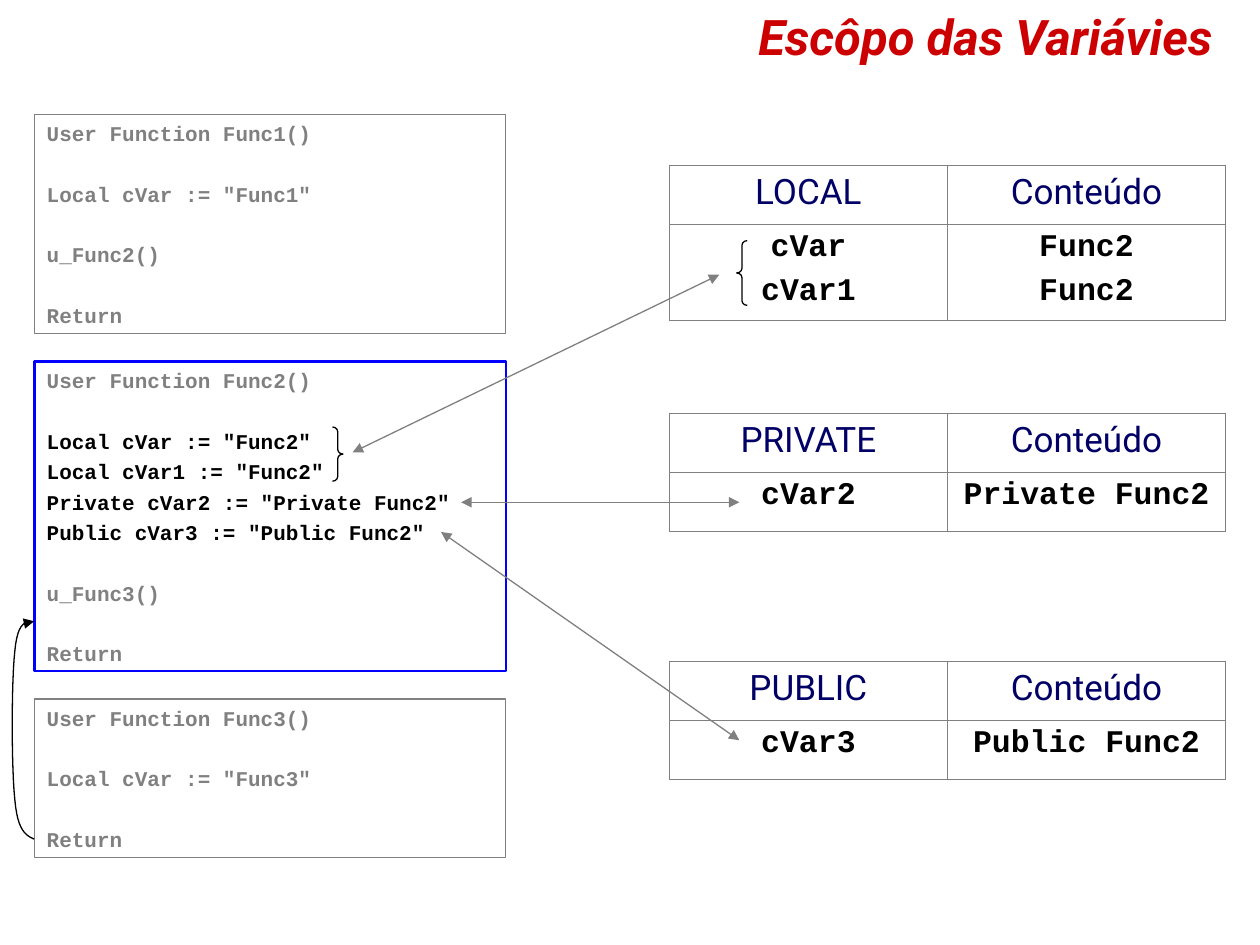
from lxml.etree import SubElement
from pptx import Presentation
from pptx.dml.color import RGBColor
from pptx.enum.shapes import MSO_CONNECTOR, MSO_SHAPE
from pptx.enum.text import MSO_ANCHOR, PP_ALIGN
from pptx.oxml.ns import qn
from pptx.util import Pt

INK = {"gray": "808080", "blue": "0000FF", "navy": "000066",
       "black": "000000", "red": "CC0000"}
MONO, SANS = "Courier New", "Roboto"


def write(para, text, size, face, ink, bold=False):
    run = para.add_run()
    run.text = text
    font = run.font
    font.size, font.name, font.bold = Pt(size), face, bold
    font.color.rgb = RGBColor.from_string(INK[ink])
    return font


def trace(shape, ink, width=0.75, tips=()):
    shape.line.color.rgb = RGBColor.from_string(INK[ink])
    shape.line.width = Pt(width)
    for tip in tips:
        SubElement(shape.line._get_or_add_ln(), qn("a:" + tip), type="triangle")


deck = Presentation()
deck.slide_width, deck.slide_height = Pt(720), Pt(540)
slide = deck.slides.add_slide(deck.slide_layouts[5])
shapes = slide.shapes

# Title
title = shapes.title
title.left, title.top, title.width, title.height = Pt(19.5), Pt(0), Pt(680.5), Pt(41)
frame = title.text_frame
frame.vertical_anchor = MSO_ANCHOR.MIDDLE
para = frame.paragraphs[0]
para.alignment = PP_ALIGN.RIGHT
write(para, "Escôpo das Variávies", 28, SANS, "red", True).italic = True

# Code boxes: top, height, line colour, line width, groups of (colour, lines)
codes = [
    (65.5, 125, "gray", 0.75, [
        ("gray", ["User Function Func1()"]),
        ("gray", ['Local cVar := "Func1"']),
        ("gray", ["u_Func2()"]),
        ("gray", ["Return"])]),
    (206.5, 177, "blue", 1.5, [
        ("gray", ["User Function Func2()"]),
        ("black", ['Local cVar := "Func2"', 'Local cVar1 := "Func2"',
                   'Private cVar2 := "Private Func2"',
                   'Public cVar3 := "Public Func2"']),
        ("gray", ["u_Func3()"]),
        ("gray", ["Return"])]),
    (399.5, 90.5, "gray", 0.75, [
        ("gray", ["User Function Func3()"]),
        ("gray", ['Local cVar := "Func3"']),
        ("gray", ["Return"])]),
]
for top, high, edge, width, groups in codes:
    box = shapes.add_shape(MSO_SHAPE.RECTANGLE, Pt(19.6), Pt(top), Pt(269.5), Pt(high))
    box.shadow.inherit = False
    box.fill.background()
    trace(box, edge, width)
    frame = box.text_frame
    frame.word_wrap = True
    frame.vertical_anchor = MSO_ANCHOR.TOP
    frame.margin_top = Pt(3.6)
    para = frame.paragraphs[0]
    for g, (ink, lines) in enumerate(groups):
        for n, line in enumerate(lines):
            if g or n:
                para = frame.add_paragraph()
                para.space_before = Pt(3 if n else 20.2)
            para.alignment = PP_ALIGN.LEFT
            write(para, line, 12, MONO, ink, True)

# Scope tables: name, variables, contents, height of the second row
scopes = [
    ("LOCAL", ["cVar", "cVar1"], ["Func2", "Func2"], 55),
    ("PRIVATE", ["cVar2"], ["Private Func2"], 34),
    ("PUBLIC", ["cVar3"], ["Public Func2"], 34),
]
for i, (name, names, values, high) in enumerate(scopes):
    table = shapes.add_table(2, 2, Pt(382.5), Pt(94.4 + 141.75 * i),
                             Pt(317.8), Pt(33.7 + high)).table
    table.first_row = table.horz_banding = False
    table.rows[0].height, table.rows[1].height = Pt(33.7), Pt(high)
    rows = [([name], ["Conteúdo"]), (names, values)]
    for r, row in enumerate(rows):
        for c, lines in enumerate(row):
            cell = table.cell(r, c)
            props = cell._tc.get_or_add_tcPr()
            for side in ("lnL", "lnR", "lnT", "lnB"):
                edge = SubElement(props, qn("a:" + side), w=str(Pt(0.45)))
                fill = SubElement(edge, qn("a:solidFill"))
                SubElement(fill, qn("a:srgbClr"), val=INK["gray"])
            cell.fill.background()
            for n, line in enumerate(lines):
                if n:
                    para = cell.text_frame.add_paragraph()
                    para.space_before = Pt(4.7)
                else:
                    para = cell.text_frame.paragraphs[0]
                para.alignment = PP_ALIGN.CENTER
                if r:
                    write(para, line, 18, MONO, "black", True)
                else:
                    write(para, line, 20, SANS, "navy")

# Braces around the local variables
braces = [(MSO_SHAPE.RIGHT_BRACE, 190, 244, 31), (MSO_SHAPE.LEFT_BRACE, 421, 137.5, 37)]
for kind, left, top, high in braces:
    brace = shapes.add_shape(kind, Pt(left), Pt(top), Pt(6), Pt(high))
    brace.adjustments[0] = 0.45
    brace.shadow.inherit = False
    brace.fill.background()
    trace(brace, "black")

# Arrows from code to tables
links = [(201.5, 258.5, 411, 157), (263.5, 287, 422.5, 287), (252, 304, 422.5, 423)]
for ends in links:
    link = shapes.add_connector(MSO_CONNECTOR.STRAIGHT, *[Pt(v) for v in ends])
    trace(link, "gray", tips=("headEnd", "tailEnd"))
    SubElement(link._element.spPr, qn("a:effectLst"))

# Curved arrow from Func3 back to Func2, as Bezier arcs
start = (19.5, 479.5)
arcs = [((15, 477.5), (10, 475), (8.5, 457)),
        ((6.5, 439), (6.5, 389), (8.5, 372)),
        ((10, 355), (15, 355), (19.5, 355))]
dots, last, steps = [], start, 12
for one, two, end in arcs:
    for k in range(1, steps + 1):
        t = k / steps
        u = 1 - t
        dots.append(tuple(
            Pt(u**3 * a + 3 * u * u * t * b + 3 * u * t * t * c + t**3 * d)
            for a, b, c, d in zip(last, one, two, end)))
    last = end
pen = shapes.build_freeform(Pt(start[0]), Pt(start[1]))
pen.add_line_segments(dots, close=False)
curve = pen.convert_to_shape()
curve.shadow.inherit = False
curve.fill.background()
trace(curve, "black", tips=("tailEnd",))

deck.save("out.pptx")
